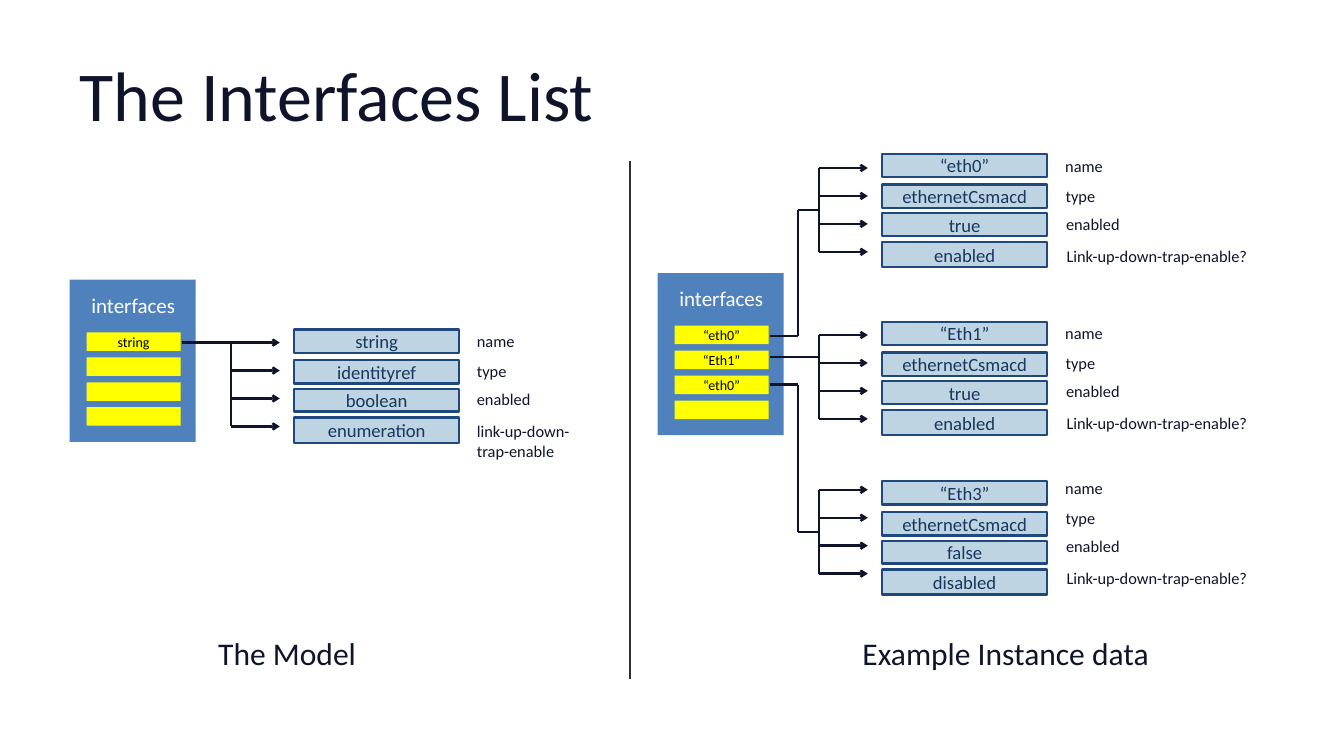
from pptx import Presentation
from pptx.dml.color import RGBColor
from pptx.enum.shapes import MSO_CONNECTOR, MSO_SHAPE
from pptx.enum.text import MSO_ANCHOR, MSO_AUTO_SIZE, PP_ALIGN
from pptx.oxml.ns import qn
from pptx.util import Cm, Pt
from lxml.etree import SubElement

NAVY = RGBColor(0x0F, 0x14, 0x2A)
GREY = RGBColor(0x2F, 0x2F, 0x37)
BLUE = RGBColor(0x4F, 0x81, 0xBD)
PALE = RGBColor(0xBE, 0xD4, 0xE2)
EDGE = RGBColor(0x1F, 0x49, 0x7D)
INK = RGBColor(0x17, 0x37, 0x5E)
YELLOW = RGBColor(0xFF, 0xFF, 0x00)
WHITE = RGBColor(0xFF, 0xFF, 0xFF)
BLACK = RGBColor(0x00, 0x00, 0x00)
LEFT, CENTER, RIGHT = PP_ALIGN.LEFT, PP_ALIGN.CENTER, PP_ALIGN.RIGHT


def put(shapes, area, text, size, color, align=CENTER, fill=None, edge=None):
    """Add a filled rectangle, or a plain text box if no fill is given."""
    area = [Cm(n) for n in area]
    if fill is None:
        shape = shapes.add_textbox(*area)
    else:
        shape = shapes.add_shape(MSO_SHAPE.RECTANGLE, *area)
        shape.shadow.inherit = False
        shape.fill.solid()
        shape.fill.fore_color.rgb = fill
        if edge is None:
            shape.line.fill.background()
        else:
            shape.line.color.rgb = edge
            shape.line.width = Pt(2)
    if not text:
        return
    frame = shape.text_frame
    frame.text = text
    frame.word_wrap = fill is not None
    if fill is not None:
        frame.vertical_anchor = MSO_ANCHOR.MIDDLE
        frame.margin_top = frame.margin_bottom = 0
    for par in frame.paragraphs:
        par.alignment = align
        par.font.name = "Calibri"
        par.font.size = Pt(size)
        par.font.color.rgb = color


def draw(start, end, color=NAVY, width=2, arrow=False):
    line = slide.shapes.add_connector(
        MSO_CONNECTOR.STRAIGHT, *[Cm(n) for n in (*start, *end)])
    line.line.color.rgb = color
    line.line.width = Pt(width)
    if arrow:
        SubElement(line.line._get_or_add_ln(), qn("a:tailEnd"), type="arrow")
    SubElement(line._element.spPr, qn("a:effectLst"))


deck = Presentation()
deck.slide_width, deck.slide_height = Cm(40.64), Cm(22.86)
slide = deck.slides.add_slide(deck.slide_layouts[5])

title = slide.shapes.title
title.left, title.top, title.width, title.height = Cm(2.03), Cm(0.91), Cm(36.58), Cm(3.81)
frame = title.text_frame
frame.text = "The Interfaces List"
frame.auto_size = MSO_AUTO_SIZE.NONE
frame.vertical_anchor = MSO_ANCHOR.MIDDLE
frame.margin_left = frame.margin_right = Cm(0.38)
frame.margin_top = frame.margin_bottom = Cm(0.2)
head = frame.paragraphs[0]
head.alignment = LEFT
head.font.name = "Calibri"
head.font.size = Pt(60)
head.font.color.rgb = NAVY

draw((19.05, 4.88), (19.05, 20.52), GREY, 2.25)
put(slide.shapes, (6.35, 19.05, 4.72, 1.42), "The Model", 27, NAVY, LEFT)
put(slide.shapes, (25.83, 19.05, 9.32, 1.42), "Example Instance data", 27, NAVY, LEFT)

# Lists of keys: left, top, keys
panels = [
    (2.11, 8.46, ["string", "", "", ""]),
    (19.89, 8.26, ["“eth0”", "“Eth1”", "“eth0”", ""]),
]
for x, y, keys in panels:
    group = slide.shapes.add_group_shape().shapes
    put(group, (x, y, 3.81, 4.9), "", 18, WHITE, fill=BLUE)
    put(group, (x + 0.36, y + 0.25, 3.12, 1.02), "interfaces", 18, WHITE)
    for i, key in enumerate(keys):
        put(group, (x + 0.51, y + 1.59 + i * 0.755, 2.84, 0.56), key, 12, BLACK, fill=YELLOW)

# Records: panel left, top of boxes, first arrow, key line, join line, values
records = [
    (2.11, 9.96, 10.36, 10.36, 10.36, ["string", "identityref", "boolean", "enumeration"]),
    (19.89, 4.65, 5.08, 10.16, 6.35, ["“eth0”", "ethernetCsmacd", "true", "enabled"]),
    (19.89, 9.73, 10.13, 10.8, 10.8, ["“Eth1”", "ethernetCsmacd", "true", "enabled"]),
    (19.89, 14.55, 14.81, 11.63, 16.08, ["“Eth3”", "ethernetCsmacd", "false", "disabled"]),
]
# Rows: box offset, box height, label offset, label width
rows = [(0, 0.71, -0.47, 1.65), (0.93, 0.71, 0.44, 1.42),
        (1.8, 0.69, 1.28, 2.16), (2.67, 0.76, 2.25, 6.22)]
STEP = 0.845

for x, top, first, key, join, values in records:
    model = x == 2.11
    stem, bend, trunk = x + 3.4, x + 4.24, x + 4.88
    draw((stem, key), (bend, key))
    if key != join:
        draw((bend, key), (bend, join))
    draw((bend, join), (trunk, join))
    draw((trunk, first), (trunk, first + 3 * STEP))
    last = "link-up-down-\ntrap-enable" if model else "Link-up-down-trap-enable?"
    labels = ["name", "type", "enabled", last]
    for i, (down, high, shift, wide) in enumerate(rows):
        y = first + i * STEP
        draw((trunk, y), (trunk + 1.47, y), arrow=True)
        put(slide.shapes, (x + 6.78, top + down, 5, high), values[i], 16, INK,
            fill=PALE, edge=EDGE)
        near = 11.86 if i == 3 and not model else 12.06
        put(slide.shapes, (x + near, first + shift, 4.45 if i == 3 and model else wide, 0.86),
            labels[i], 14, NAVY, LEFT if model else RIGHT)

deck.save("out.pptx")
